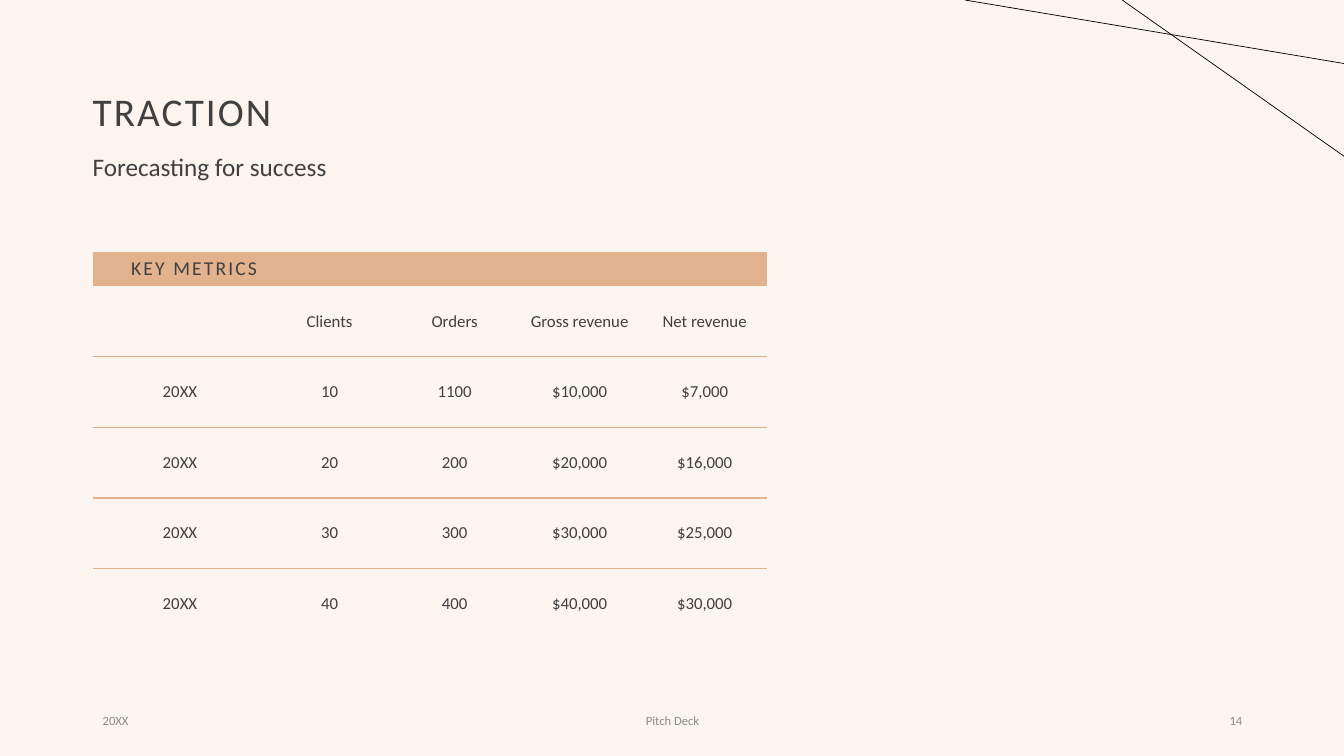
import pptx
import pptx.dml.color
import pptx.enum.shapes
import pptx.enum.text
import pptx.oxml
import pptx.oxml.ns
import pptx.util
from lxml import etree

Inches = pptx.util.Inches
Pt = pptx.util.Pt
ALIGN = pptx.enum.text.PP_ALIGN
ANCHOR = pptx.enum.text.MSO_ANCHOR
qualified = pptx.oxml.ns.qn

NO_GRID_STYLE = "{2D5ABB26-0587-4C30-8999-92F81FD0307C}"


def color(value):
    return pptx.dml.color.RGBColor.from_string(value)


def apply(target, formats):
    for name, value in formats.items():
        setattr(target, name, value)


class SlideBuilder:
    font_name = "Calibri"
    background = "FBF4EF"
    dark = "404040"
    gray = "8C8C8C"
    accent = "E2B18D"

    def __init__(self, presentation):
        self.slide = presentation.slides.add_slide(presentation.slide_layouts[6])
        fill = self.slide.background.fill
        fill.solid()
        fill.fore_color.rgb = color(self.background)

    def fill_paragraph(self, paragraph, text, size, text_color, align=ALIGN.LEFT, tracking=0):
        paragraph.alignment = align
        if not text:
            # An empty cell still needs its size, or its row grows
            etree.SubElement(paragraph._p, qualified("a:endParaRPr"), sz=str(size * 100))
            return
        run = paragraph.add_run()
        run.text = text
        apply(run.font, {"name": self.font_name, "size": Pt(size)})
        run.font.color.rgb = color(text_color)
        if tracking:
            run.font._element.set("spc", str(int(tracking * 100)))

    def text(self, box, text, size, text_color, anchor=ANCHOR.MIDDLE,
             line_spacing=1.0, left_inset=0.1, **style):
        shape = self.slide.shapes.add_textbox(*map(Inches, box))
        frame = shape.text_frame
        apply(frame, {"word_wrap": True, "vertical_anchor": anchor,
                      "margin_left": Inches(left_inset)})
        paragraph = frame.paragraphs[0]
        paragraph.line_spacing = line_spacing
        self.fill_paragraph(paragraph, text, size, text_color, **style)

    def line(self, start, end):
        connector = self.slide.shapes.add_connector(
            pptx.enum.shapes.MSO_CONNECTOR.STRAIGHT, *map(Inches, start + end))
        connector.line.color.rgb = color("000000")
        connector.line.width = Pt(0.5)
        etree.SubElement(connector._element.spPr, qualified("a:effectLst"))

    def border(self, cell, side):
        properties = cell._tc.get_or_add_tcPr()
        properties.insert(0, pptx.oxml.parse_xml(
            f'<a:{side} {pptx.oxml.ns.nsdecls("a")} w="{Pt(1)}"><a:solidFill>'
            f'<a:srgbClr val="{self.accent}"/></a:solidFill></a:{side}>'))

    def table(self, left, top, widths, heights, rows):
        table = self.slide.shapes.add_table(
            len(rows), len(widths), Inches(left), Inches(top),
            Inches(sum(widths)), Inches(sum(heights))).table
        apply(table, {"first_row": False, "horz_banding": False})
        table._tbl.tblPr.find(qualified("a:tableStyleId")).text = NO_GRID_STYLE
        for column, width in zip(table.columns, widths):
            column.width = Inches(width)
        for row_index, values in enumerate(rows):
            table.rows[row_index].height = Inches(heights[row_index])
            for column_index, value in enumerate(values):
                cell = table.cell(row_index, column_index)
                cell.vertical_anchor = ANCHOR.MIDDLE
                paragraph = cell.text_frame.paragraphs[0]
                if row_index == 0:
                    cell.fill.solid()
                    cell.fill.fore_color.rgb = color(self.accent)
                    self.fill_paragraph(paragraph, value, 14, self.dark, ALIGN.RIGHT, 1.5)
                    continue
                cell.fill.background()
                self.fill_paragraph(paragraph, value, 12, self.dark, ALIGN.CENTER)
                # Rules run between the rows below the heading band
                if row_index < len(rows) - 1:
                    self.border(cell, "lnB")
                if row_index > 1:
                    self.border(cell, "lnT")


def main():
    presentation = pptx.Presentation()
    apply(presentation, {"slide_width": Inches(13.33), "slide_height": Inches(7.5)})
    builder = SlideBuilder(presentation)

    # Headings
    builder.text((0.92, 0.4, 11.5, 1.45), "TRACTION", 28, builder.dark,
                 line_spacing=0.9, left_inset=0, tracking=1.5)
    builder.text((0.82, 1.49, 7.4, 0.54), "Forecasting for success", 18, builder.dark,
                 anchor=ANCHOR.TOP, line_spacing=0.9)

    # Key metrics
    rows = [
        ["KEY METRICS", "", "", "", ""],
        ["", "Clients", "Orders", "Gross revenue", "Net revenue"],
        ["20XX", "10", "1100", "$10,000", "$7,000"],
        ["20XX", "20", "200", "$20,000", "$16,000"],
        ["20XX", "30", "300", "$30,000", "$25,000"],
        ["20XX", "40", "400", "$40,000", "$30,000"],
    ]
    builder.table(0.92, 2.5, [1.73] + [1.24] * 4, [0.34] + [0.7] * 5, rows)

    # Footer
    for left, width, text, align in (
            (0.92, 3, "20XX", ALIGN.LEFT),
            (4.42, 4.5, "Pitch Deck", ALIGN.CENTER),
            (9.42, 3, "14", ALIGN.RIGHT)):
        builder.text((left, 6.95, width, 0.4), text, 9, builder.gray, align=align)

    # Corner lines
    builder.line((11.13, 0), (13.33, 1.55))
    builder.line((9.57, 0), (13.33, 0.63))

    presentation.save("out.pptx")


if __name__ == "__main__":
    main()
